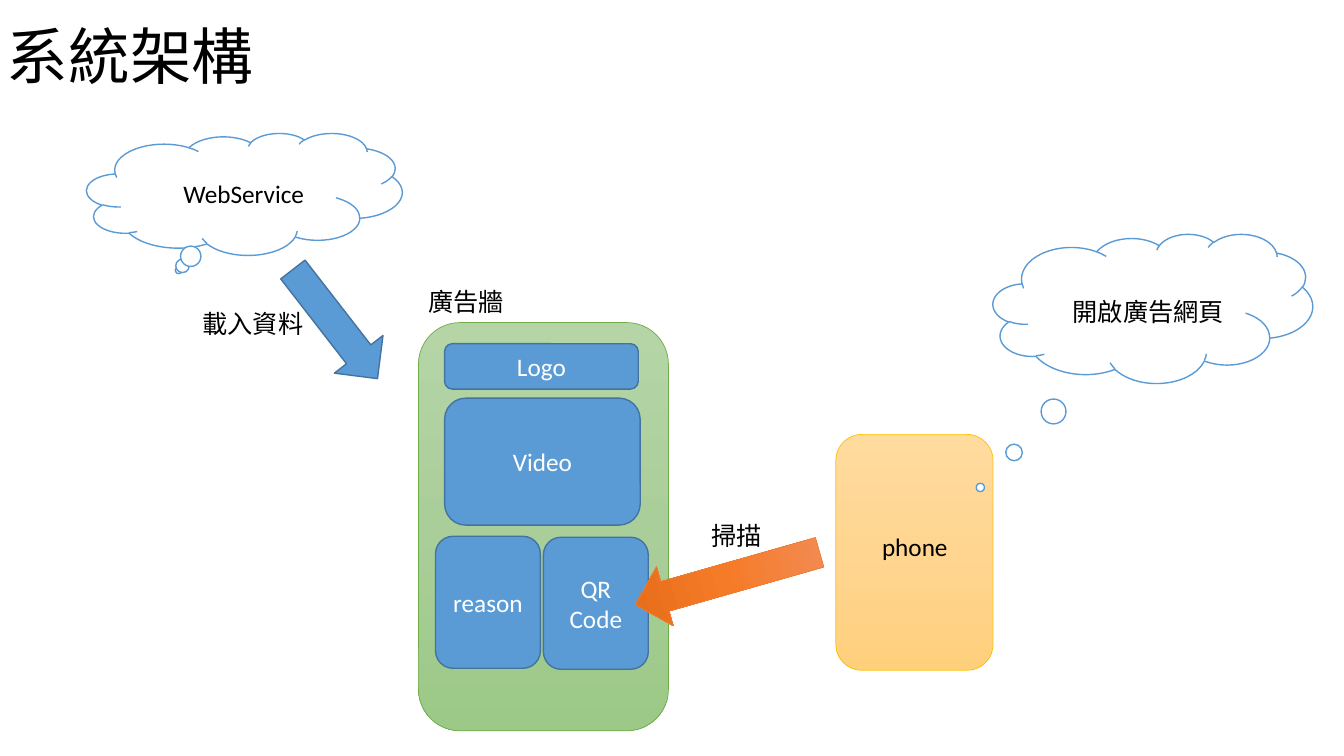
from copy import deepcopy
from dataclasses import dataclass

from pptx import Presentation
from pptx.dml.color import RGBColor
from pptx.enum.shapes import MSO_SHAPE as Preset
from pptx.enum.text import MSO_ANCHOR as Anchor, PP_ALIGN as Align
from pptx.oxml.ns import qn
from pptx.util import Inches, Pt

FONT = "Calibri"
BLACK, WHITE = "000000", "FFFFFF"
BLUE, DARK_BLUE = "5B9BD5", "43739E"
GREEN, GOLD, ORANGE = "70AD47", "FFC000", "ED7D31"
GREEN_FADE = ("B5D5A7", "AACE9A", "9CC987")
GOLD_FADE = ("FFDB9E", "FFD590", "FFD07C")
ORANGE_FADE = ("F18C57", "F67B28", "E56C19")


@dataclass
class Figure:
    preset: Preset
    left: float
    top: float
    width: float
    height: float
    fill: tuple[str, ...] = (BLUE,)
    line: str = DARK_BLUE
    line_width: float = 1
    rotation: float = 0
    adjustments: tuple[float, ...] = ()
    text: str = ""


@dataclass
class Label:
    text: str
    left: float
    top: float
    width: float
    height: float = 0.4
    size: int = 18
    wrap: bool = False
    anchor: Anchor = Anchor.TOP
    line_spacing: float = 1


def color(value: str) -> RGBColor:
    return RGBColor.from_string(value)


def write(frame, text: str, size: int, ink: str, align: Align) -> None:
    frame.text = text
    for para in frame.paragraphs:
        para.alignment = align
        para.font.name = FONT
        para.font.size = Pt(size)
        para.font.color.rgb = color(ink)


def paint(shape, colors: tuple[str, ...]) -> None:
    if len(colors) == 1:
        shape.fill.solid()
        shape.fill.fore_color.rgb = color(colors[0])
        return
    shape.fill.gradient()
    shape.fill.gradient_angle = 270
    stop_list = next(shape._element.iter(qn("a:gsLst")))
    while len(stop_list) < len(colors):
        stop_list.append(deepcopy(stop_list[0]))
    for index, (stop, value) in enumerate(zip(shape.fill.gradient_stops, colors)):
        stop.position = index / (len(colors) - 1)
        stop.color.rgb = color(value)


def draw_figure(page, figure: Figure) -> None:
    shape = page.shapes.add_shape(
        figure.preset, Inches(figure.left), Inches(figure.top),
        Inches(figure.width), Inches(figure.height))
    shape.shadow.inherit = False
    shape.rotation = figure.rotation
    for index, value in enumerate(figure.adjustments):
        shape.adjustments[index] = value
    paint(shape, figure.fill)
    shape.line.color.rgb = color(figure.line)
    shape.line.width = Pt(figure.line_width)
    if figure.text:
        shape.text_frame.vertical_anchor = Anchor.MIDDLE
        write(shape.text_frame, figure.text, 18, WHITE, Align.CENTER)


def draw_label(page, label: Label) -> None:
    box = page.shapes.add_textbox(
        Inches(label.left), Inches(label.top),
        Inches(label.width), Inches(label.height))
    frame = box.text_frame
    frame.word_wrap = label.wrap
    frame.vertical_anchor = label.anchor
    write(frame, label.text, label.size, BLACK, Align.LEFT)
    frame.paragraphs[0].line_spacing = label.line_spacing


CLOUD, PANEL, ARROW = Preset.CLOUD_CALLOUT, Preset.ROUNDED_RECTANGLE, Preset.DOWN_ARROW

FIGURES = [
    Figure(CLOUD, 0.86, 1.32, 3.13, 1.21, (WHITE,), BLUE),
    Figure(PANEL, 4.15, 3.2, 2.48, 4.05, GREEN_FADE, GREEN, 0.5),
    Figure(ARROW, 3.02, 2.53, 0.61, 1.37, rotation=322.2),
    Figure(PANEL, 4.41, 3.41, 1.92, 0.45, text="Logo"),
    Figure(PANEL, 4.41, 3.95, 1.94, 1.26, text="Video"),
    Figure(PANEL, 4.32, 5.32, 1.04, 1.31, text="reason"),
    Figure(PANEL, 5.39, 5.33, 1.04, 1.31, text="QR\nCode"),
    Figure(PANEL, 8.29, 4.31, 1.56, 2.34, GOLD_FADE, GOLD, 0.5),
    Figure(CLOUD, 9.85, 2.32, 3.17, 1.48, (WHITE,), BLUE, adjustments=(-0.54, 1.2)),
    Figure(ARROW, 6.91, 4.79, 0.61, 1.9, ORANGE_FADE, ORANGE, 0.5, 74.1),
]

LABELS = [
    Label("系統架構", -0.03, -0.13, 11.5, 1.45, 44, True, Anchor.MIDDLE, 0.9),
    Label("WebService", 1.72, 1.72, 1.41),
    Label("載入資料", 1.91, 3.01, 1.21),
    Label("廣告牆", 4.15, 2.79, 0.96),
    Label("phone", 8.65, 5.22, 0.86),
    Label("掃描", 6.96, 5.11, 0.71),
    Label("開啟廣告網頁", 10.54, 2.89, 1.8, wrap=True),
]

deck = Presentation()
deck.slide_width, deck.slide_height = Inches(13.33), Inches(7.5)
page = deck.slides.add_slide(deck.slide_layouts[6])
for figure in FIGURES:
    draw_figure(page, figure)
for label in LABELS:
    draw_label(page, label)
deck.save("out.pptx")
